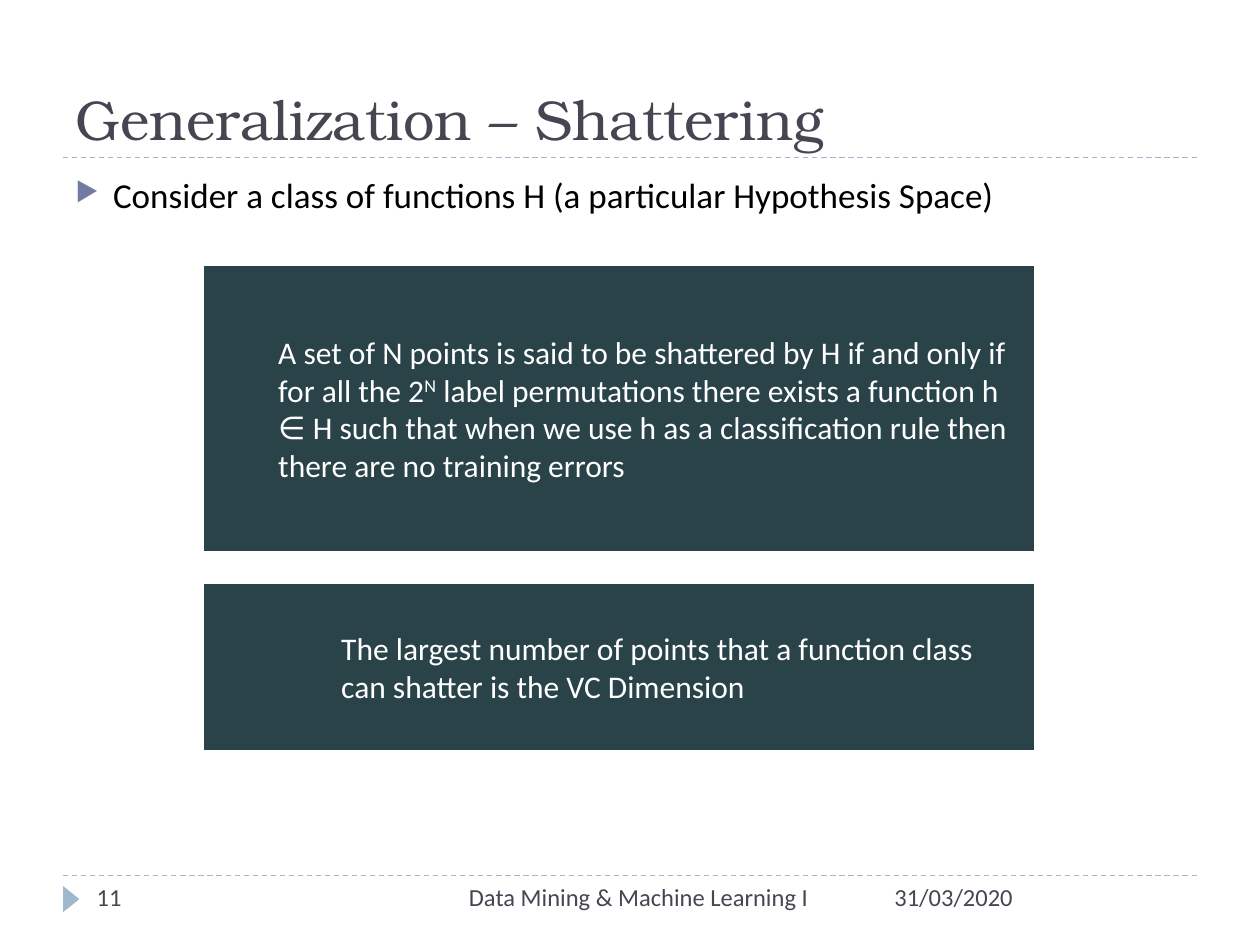
from dataclasses import dataclass

import lxml.etree
import pptx
import pptx.dml.color
import pptx.enum.dml
import pptx.enum.shapes
import pptx.enum.text
import pptx.oxml.ns
import pptx.util

Cm = pptx.util.Cm
Align = pptx.enum.text.PP_ALIGN
Anchor = pptx.enum.text.MSO_ANCHOR
qn = pptx.oxml.ns.qn


@dataclass(frozen=True)
class Theme:
    heading_font: str = "TeX Gyre Bonum"
    body_font: str = "Calibri"
    heading: str = "464653"
    text: str = "000000"
    bullet: str = "727CA3"
    accent: str = "9FB8CD"
    panel: str = "294349"
    white: str = "FFFFFF"
    title_size: int = 32
    body_size: int = 20
    panel_size: int = 18
    footer_size: int = 14


@dataclass(frozen=True)
class Run:
    text: str
    superscript: bool = False


@dataclass(frozen=True)
class Style:
    size: int
    color: str
    font: str


@dataclass(frozen=True)
class Label:
    text: str
    left: float
    top: float
    width: float
    height: float
    style: Style
    align: Align = Align.LEFT
    anchor: Anchor = Anchor.TOP


@dataclass(frozen=True)
class Panel:
    top: float
    height: float
    indent: float
    runs: tuple[Run, ...]


THEME = Theme()
TITLE = Style(THEME.title_size, THEME.heading, THEME.heading_font)
BODY = Style(THEME.body_size, THEME.text, THEME.body_font)
PANEL = Style(THEME.panel_size, THEME.white, THEME.body_font)
FOOTER = Style(THEME.footer_size, THEME.heading, THEME.body_font)

MARGIN = 1.27
RULE_WIDTH = 22.86
TITLE_RULE = 3.18
FOOTER_RULE = 17.65
FOOTER_HEIGHT = 1.02
PANEL_LEFT = 4.09
PANEL_WIDTH = 16.79

TITLE_LABEL = Label("Generalization – Shattering", MARGIN, 0.43, RULE_WIDTH, 2.75,
                    TITLE, anchor=Anchor.BOTTOM)
BODY_LABEL = Label("Consider a class of functions H (a particular Hypothesis Space)",
                   MARGIN, 3.38, 23.04, 13.72, BODY)
FOOTER_LABELS = (
    Label("31/03/2020", 17.78, FOOTER_RULE, 6.35, FOOTER_HEIGHT, FOOTER),
    Label("11", 1.7, FOOTER_RULE, 5.51, FOOTER_HEIGHT, FOOTER),
    Label("Data Mining & Machine Learning I", 8.05, FOOTER_RULE, 9.65, FOOTER_HEIGHT,
          FOOTER, Align.CENTER),
)
PANELS = (
    Panel(5.34, 5.79, 1.27, (
        Run("A set of N points is said to be shattered by H if and only if for all the 2"),
        Run("N", superscript=True),
        Run(" label permutations there exists a function h ∈ H such that when we use h "
            "as a classification rule then there are no training errors"),
    )),
    Panel(11.74, 3.4, 2.54, (
        Run("The largest number of points that a function class can shatter "
            "is the VC Dimension"),
    )),
)


def rgb(color: str) -> pptx.dml.color.RGBColor:
    return pptx.dml.color.RGBColor.from_string(color)


def add_runs(paragraph, runs: tuple[Run, ...], style: Style) -> None:
    for item in runs:
        run = paragraph.add_run()
        run.text = item.text
        run.font.size = pptx.util.Pt(style.size)
        run.font.name = style.font
        run.font.color.rgb = rgb(style.color)
        if item.superscript:
            run._r.get_or_add_rPr().set("baseline", "30000")


def set_indent(paragraph, left: float, first: float = 0) -> None:
    properties = paragraph._p.get_or_add_pPr()
    properties.set("marL", str(int(Cm(left))))
    properties.set("indent", str(int(Cm(first))))


def add_bullet(paragraph, character: str, color: str, percent: int) -> None:
    properties = paragraph._p.get_or_add_pPr()
    bullet_color = lxml.etree.SubElement(properties, qn("a:buClr"))
    lxml.etree.SubElement(bullet_color, qn("a:srgbClr")).set("val", color)
    lxml.etree.SubElement(properties, qn("a:buSzPct")).set("val", str(percent * 1000))
    lxml.etree.SubElement(properties, qn("a:buChar")).set("char", character)


def add_label(slide, label: Label):
    shape = slide.shapes.add_textbox(
        Cm(label.left), Cm(label.top), Cm(label.width), Cm(label.height))
    frame = shape.text_frame
    frame.word_wrap = True
    frame.vertical_anchor = label.anchor
    paragraph = frame.paragraphs[0]
    paragraph.alignment = label.align
    add_runs(paragraph, (Run(label.text),), label.style)
    return paragraph


def add_rule(slide, top: float) -> None:
    rule = slide.shapes.add_connector(
        pptx.enum.shapes.MSO_CONNECTOR.STRAIGHT,
        Cm(MARGIN), Cm(top), Cm(MARGIN + RULE_WIDTH), Cm(top))
    rule.line.color.rgb = rgb(THEME.accent)
    rule.line.width = pptx.util.Pt(0.75)
    rule.line.dash_style = pptx.enum.dml.MSO_LINE.DASH
    lxml.etree.SubElement(rule._element.spPr, qn("a:effectLst"))


def add_page_marker(slide) -> None:
    marker = slide.shapes.add_shape(
        pptx.enum.shapes.MSO_SHAPE.ISOSCELES_TRIANGLE,
        Cm(1.17), Cm(17.96), Cm(0.53), Cm(0.33))
    marker.rotation = 90
    marker.shadow.inherit = False
    marker.fill.solid()
    marker.fill.fore_color.rgb = rgb(THEME.accent)
    marker.line.fill.background()


def add_panel(slide, panel: Panel) -> None:
    shape = slide.shapes.add_shape(
        pptx.enum.shapes.MSO_SHAPE.RECTANGLE,
        Cm(PANEL_LEFT), Cm(panel.top), Cm(PANEL_WIDTH), Cm(panel.height))
    shape.shadow.inherit = False
    shape.fill.solid()
    shape.fill.fore_color.rgb = rgb(THEME.panel)
    shape.line.color.rgb = rgb(THEME.white)
    shape.line.width = pptx.util.Pt(1.5)
    frame = shape.text_frame
    frame.word_wrap = True
    frame.vertical_anchor = Anchor.MIDDLE
    paragraph = frame.paragraphs[0]
    paragraph.alignment = Align.LEFT
    set_indent(paragraph, panel.indent)
    add_runs(paragraph, panel.runs, PANEL)


def main() -> None:
    presentation = pptx.Presentation()
    presentation.slide_width = Cm(25.4)
    presentation.slide_height = Cm(19.05)
    slide = presentation.slides.add_slide(presentation.slide_layouts[6])
    for top in (FOOTER_RULE, TITLE_RULE):
        add_rule(slide, top)
    add_page_marker(slide)
    add_label(slide, TITLE_LABEL)
    statement = add_label(slide, BODY_LABEL)
    set_indent(statement, 0.76, -0.76)
    add_bullet(statement, "▶", THEME.bullet, 76)
    for panel in PANELS:
        add_panel(slide, panel)
    for label in FOOTER_LABELS:
        add_label(slide, label)
    presentation.save("out.pptx")


if __name__ == "__main__":
    main()
